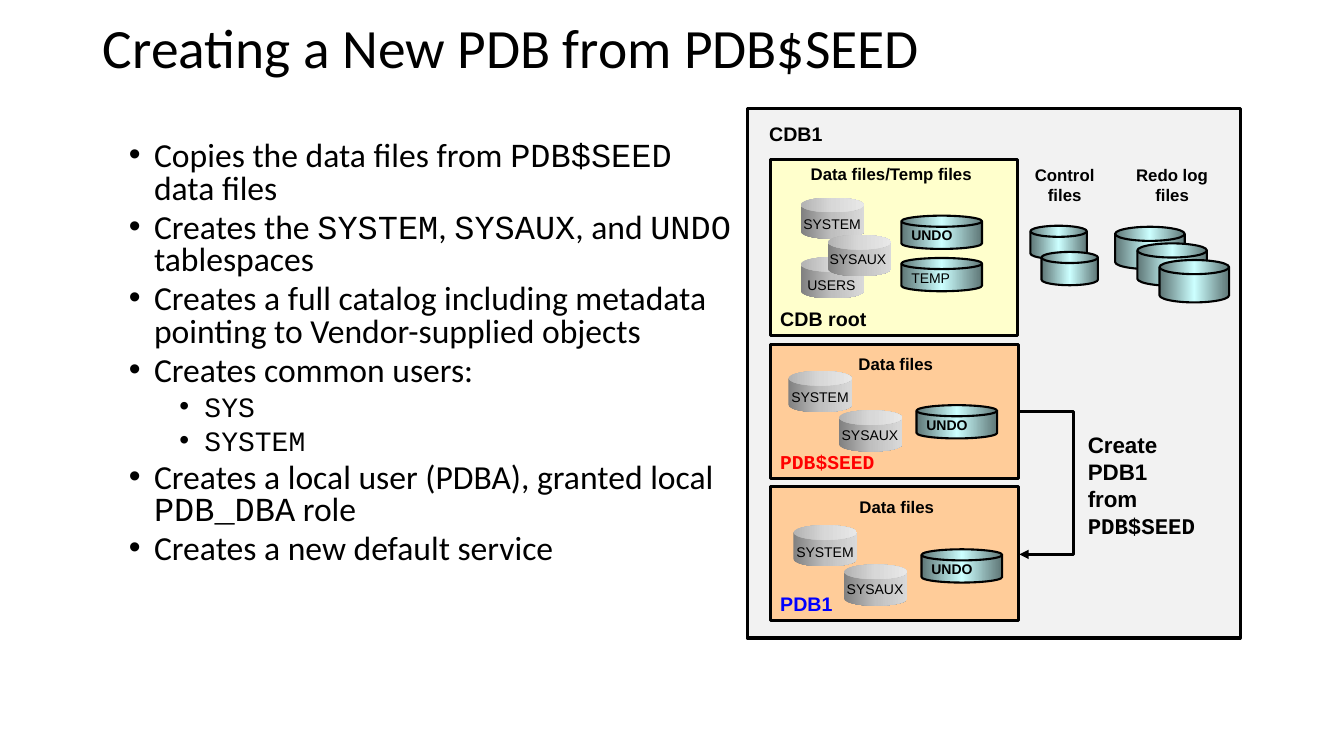
from lxml import etree
from pptx import Presentation
from pptx import util as u
from pptx.dml.color import RGBColor
from pptx.enum import shapes, text
from pptx.oxml import parse_xml
from pptx.oxml.ns import nsdecls, qn

PX = 9144  # 100 px to the inch
BLACK = RGBColor(0, 0, 0)
RED = RGBColor(0xFF, 0, 0)
BLUE = RGBColor(0, 0, 0xFF)
GRAY = RGBColor(0xF2, 0xF2, 0xF2)
YELLOW = RGBColor(0xFF, 0xFF, 0xCC)
ORANGE = RGBColor(0xFF, 0xCC, 0x99)
SILVER = ("808080", "BFBFBF", "D9D9D9")
TEAL = ("5E7676", "CCFFFF", "5E7676")
SANS, MONO, BODY = "Arial", "Courier New", "Calibri"
LEFT, MID = text.PP_ALIGN.LEFT, text.PP_ALIGN.CENTER
KIND = shapes.MSO_SHAPE

TITLE = "Creating a New PDB from PDB$SEED"
# Level and words; backticks enclose code
POINTS = [
    (1, "Copies the data files from `PDB$SEED` data files"),
    (1, "Creates the `SYSTEM`, `SYSAUX`, and `UNDO` tablespaces"),
    (1, "Creates a full catalog including metadata pointing to Vendor-supplied objects"),
    (1, "Creates common users:"),
    (2, "`SYS`"),
    (2, "`SYSTEM`"),
    (1, "Creates a local user (PDBA), granted local `PDB_DBA` role"),
    (1, "Creates a new default service"),
]
# Place, fill, name, font, colour
BOXES = [
    ((764, 158, 245, 175), YELLOW, "CDB root", SANS, BLACK),
    ((764, 342, 246, 133), ORANGE, "PDB$SEED", MONO, RED),
    ((764, 483, 246, 133), ORANGE, "PDB1", SANS, BLUE),
]
HEADS = [
    ((760, 158, 248, 30), "Data files/Temp files"),
    ((1011, 158, 90, 51), "Control\nfiles"),
    ((1113, 158, 99, 51), "Redo log\nfiles"),
    ((806, 346, 165, 30), "Data files"),
    ((833, 488, 113, 30), "Data files"),
]
# Corner of each can, its name, and the shift to the name
CANS = [
    (794, 255, "USERS", -3, 14),
    (794, 196, "SYSTEM", -7, 13),
    (821, 233, "SYSAUX", -8, 11),
    (782, 368, "SYSTEM", -7, 13),
    (832, 407, "SYSAUX", -7, 11),
    (787, 521, "SYSTEM", -7, 13),
    (837, 560, "SYSAUX", -7, 11),
]
DISKS = [
    (894, 214, "UNDO", True),
    (894, 256, "TEMP", False),
    (909, 402, "UNDO", True),
    (914, 545, "UNDO", True),
]
# First corner, size, step and count of each stack
STACKS = [
    (1106, 225, 69, 42, 22, 16.5, 3),
    (1022, 224, 56, 33, 11, 26, 2),
]
STEPS = "Create\nPDB1\nfrom\n`PDB$SEED`"

deck = Presentation()
deck.slide_width, deck.slide_height = 1333 * PX, 750 * PX
slide = deck.slides.add_slide(deck.slide_layouts[5])


def scale(place):
    return [int(n * PX) for n in place]


def style(font, size, face, color=BLACK, bold=False):
    font.size, font.name, font.bold = u.Pt(size), face, bold
    font.color.rgb = color


def add_runs(para, words, size, face, color=BLACK, bold=False):
    """Write words, with the parts between backticks in the code font."""
    for i, part in enumerate(words.split("`")):
        if part:
            run = para.add_run()
            run.text = part
            style(run.font, size, MONO if i % 2 else face, color, bold)


def add_label(place, words, size, bold=True, align=LEFT):
    frame = slide.shapes.add_textbox(*scale(place)).text_frame
    frame.word_wrap = True
    for i, line in enumerate(words.split("\n")):
        para = frame.add_paragraph() if i else frame.paragraphs[0]
        para.alignment = align
        add_runs(para, line, size, SANS, bold=bold)
    return frame


def add_form(kind, place, line=None):
    form = slide.shapes.add_shape(kind, *scale(place))
    form.shadow.inherit = False
    if line:
        form.line.color.rgb, form.line.width = BLACK, u.Pt(line)
    else:
        form.line.fill.background()
    return form


def add_box(place, color):
    box = add_form(KIND.RECTANGLE, place, 2.25)
    box.fill.solid()
    box.fill.fore_color.rgb = color
    return box


def shade(form, colors):
    """Fill a form with a gradient from left to right."""
    stops = "".join(f'<a:gs pos="{i * 50000}"><a:srgbClr val="{c}"/></a:gs>'
                    for i, c in enumerate(colors))
    grad = parse_xml(f'<a:gradFill {nsdecls("a")}><a:gsLst>{stops}</a:gsLst>'
                     '<a:lin ang="0" scaled="0"/></a:gradFill>')
    form._element.spPr.find(qn("a:prstGeom")).addnext(grad)


def add_disk(*place):
    shade(add_form(KIND.FLOWCHART_MAGNETIC_DISK, place, 1.5), TEAL)


def add_title():
    title = slide.shapes.title
    title.left, title.top, title.width, title.height = scale((92, 24, 1120, 52))
    frame = title.text_frame
    frame.text = TITLE
    frame.auto_size = text.MSO_AUTO_SIZE.NONE
    frame.vertical_anchor = text.MSO_ANCHOR.MIDDLE
    para = frame.paragraphs[0]
    para.alignment, para.line_spacing = LEFT, 0.9
    style(para.runs[0].font, 39.6, BODY)


def add_points():
    frame = slide.shapes.add_textbox(*scale((68, 136, 673, 466))).text_frame
    frame.word_wrap = True
    for i, (level, words) in enumerate(POINTS):
        para = frame.add_paragraph() if i else frame.paragraphs[0]
        para.level, para.line_spacing = level, 0.8
        if i:
            para.space_before = u.Pt(5)
        props = para._p.get_or_add_pPr()
        props.set("marL", str((25 + 50 * level) * PX))
        props.set("indent", str(-25 * PX))
        etree.SubElement(props, qn("a:buFont")).set("typeface", SANS)
        etree.SubElement(props, qn("a:buChar")).set("char", "•")
        add_runs(para, words, 24 if level == 1 else 20, BODY)


def add_arrow():
    """Lead from the seed box round to the new one."""
    arrow = slide.shapes.add_connector(
        shapes.MSO_CONNECTOR.ELBOW, *scale((1010, 408, 1011, 550)))
    arrow.line.color.rgb, arrow.line.width = BLACK, u.Pt(2.25)
    props = arrow._element.spPr
    guide = etree.SubElement(props.find(qn("a:prstGeom")).get_or_add_avLst(), qn("a:gd"))
    guide.set("name", "adj1")
    guide.set("fmla", "val 5600000")  # the bend lies 56 px out
    etree.SubElement(props.find(qn("a:ln")), qn("a:tailEnd")).set("type", "triangle")
    etree.SubElement(props, qn("a:effectLst"))


add_title()
add_points()
add_box((741, 108, 489, 525), GRAY)
add_label((753, 121, 272, 29), "CDB1", 14).paragraphs[0].line_spacing = 0.8
for place, color, name, face, ink in BOXES:
    frame = add_box(place, color).text_frame
    frame.vertical_anchor = text.MSO_ANCHOR.BOTTOM
    para = frame.paragraphs[0]
    para.alignment = LEFT
    add_runs(para, name, 14, face, ink, True)
for place, words in HEADS:
    add_label(place, words, 12, align=MID)
for x, y, wide, high, dx, dy, count in STACKS:
    for i in range(count):
        add_disk(x + i * dx, y + i * dy, wide, high)
for x, y, name, bold in DISKS:
    add_disk(x, y, 80, 33)
    add_label((x, y + 6, 87, 27), name, 10, bold)
for x, y, name, dx, dy in CANS:
    can = add_form(KIND.CAN, (x, y, 63, 41))
    can.adjustments[0] = 0.356
    shade(can, SILVER)
    add_label((x + dx, y + dy, 100, 27), name, 10, False)
add_label((1069, 423, 139, 118), STEPS, 16)
add_arrow()

deck.save("out.pptx")
